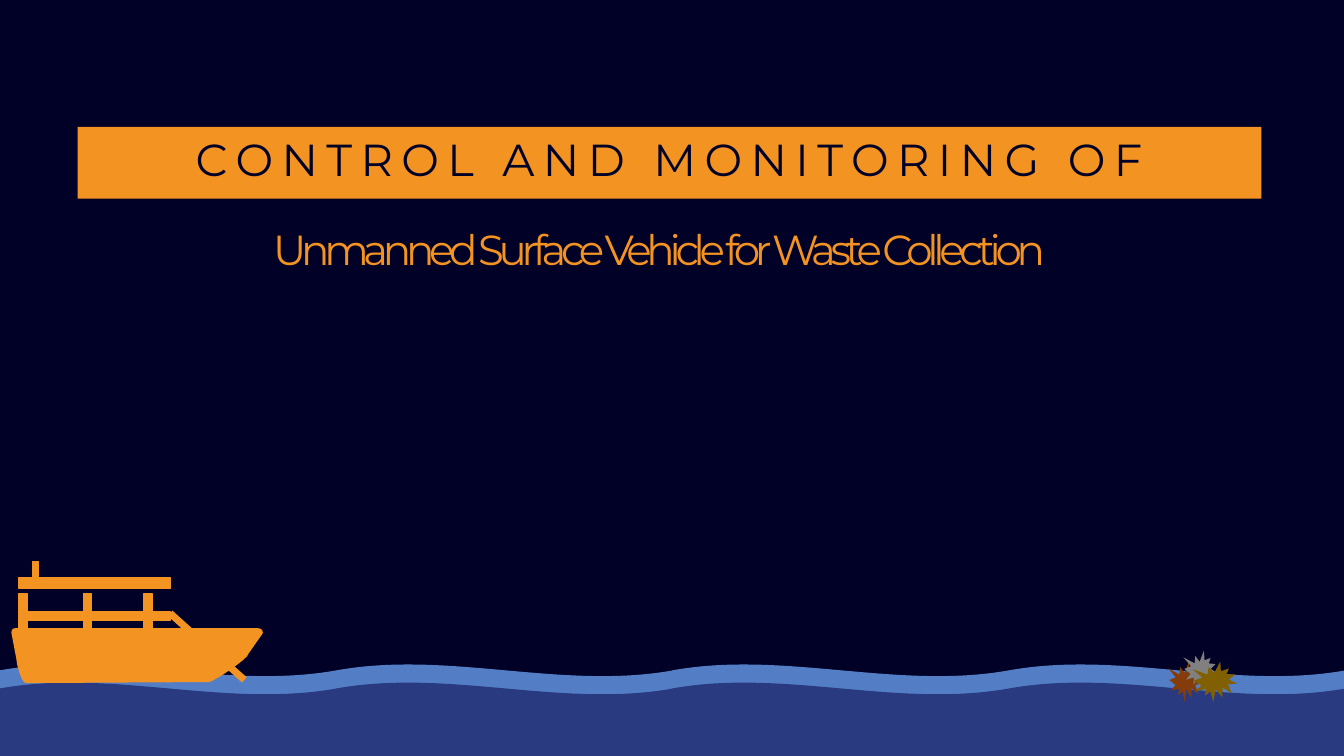
from pptx import Presentation
from pptx.dml.color import RGBColor
from pptx.enum.shapes import MSO_SHAPE as Preset
from pptx.enum.text import MSO_ANCHOR as Anchor, MSO_AUTO_SIZE as AutoSize, PP_ALIGN as Align
from pptx.util import Inches, Pt

COLORS = {
    "night": "010026", "orange": "F39422", "crest": "537EC5", "sea": "293A80",
    "rust": "843C0B", "grey": "808080", "olive": "806000",
}
SLIDE_WIDTH, SLIDE_HEIGHT = 13.33, 7.5
WAVE_PITCH, WAVE_WIDTH, WAVE_HEIGHT = 6.67, 6.68, 0.96
HULL_START = (0.12, 6.28)
HULL_STEPS = [
    [(0.12, 6.23), (0.15, 6.24), (0.19, 6.24)],
    [(2.51, 6.24)],
    [(2.55, 6.24), (2.6, 6.23), (2.6, 6.28)],
    [(2.46, 6.48)],
    [(2.46, 6.53), (2.11, 6.76), (2.07, 6.76)],
    [(0.26, 6.77)],
    [(0.22, 6.77), (0.17, 6.59), (0.17, 6.54)],
]


def color(name):
    """Return the named colour."""
    return RGBColor.from_string(COLORS[name])


def paint(shape, fill, outlined=False):
    """Fill a shape, with a thin outline of the same colour if wanted."""
    shape.shadow.inherit = False
    shape.fill.solid()
    shape.fill.fore_color.rgb = color(fill)
    if outlined:
        shape.line.color.rgb = color(fill)
        shape.line.width = Pt(1)
    else:
        shape.line.fill.background()


def add_block(shapes, preset, place, fill, rotation=0, outlined=False):
    """Add a preset shape at left, top, width, height."""
    block = shapes.add_shape(preset, *map(Inches, place))
    block.rotation = rotation
    paint(block, fill, outlined)


def set_heading(box, words, place, size, ink, spacing, align):
    """Place a heading placeholder and write letter-spaced text in it."""
    box.left, box.top, box.width, box.height = map(Inches, place)
    frame = box.text_frame
    frame.word_wrap = True
    frame.auto_size = AutoSize.NONE
    frame.vertical_anchor = Anchor.TOP
    para = frame.paragraphs[0]
    para.alignment = align
    para.space_before = Pt(0)
    span = para.add_run()
    span.text = words
    span._r.get_or_add_rPr().set("spc", str(spacing))
    para.font.name = "Montserrat"
    para.font.size = Pt(size)
    para.font.color.rgb = color(ink)


def curve_points(start, bend_out, bend_in, end, count=8):
    """Return points along a cubic curve."""
    points = []
    for step in range(1, count + 1):
        after = step / count
        before = 1 - after
        weights = (before**3, 3 * before**2 * after, 3 * before * after**2, after**3)
        corners = zip(start, bend_out, bend_in, end)
        points.append(tuple(sum(w * c for w, c in zip(weights, axis)) for axis in corners))
    return points


def add_hull(shapes):
    """Draw the rounded hull of the boat."""
    outline, corner = [], HULL_START
    for step in HULL_STEPS:
        outline += curve_points(corner, *step) if len(step) == 3 else step
        corner = step[-1]
    builder = shapes.build_freeform(*map(Inches, HULL_START))
    builder.add_line_segments([(Inches(x), Inches(y)) for x, y in outline], close=True)
    paint(builder.convert_to_shape(), "orange", outlined=True)


def add_boat(page):
    """Draw the boat as one group."""
    shapes = page.shapes.add_group_shape().shapes
    add_hull(shapes)
    posts = [(left, 5.89, 0.08, 0.34) for left in (0.19, 0.83, 1.43)]
    rail, roof, mast = (0.19, 6.07, 1.5, 0.08), (0.19, 5.73, 1.5, 0.11), (0.32, 5.57, 0.06, 0.15)
    for place in [*posts, rail, roof, mast]:
        add_block(shapes, Preset.RECTANGLE, place, "orange", outlined=True)
    add_block(shapes, Preset.RECTANGLE, (1.56, 6.38, 0.99, 0.07), "orange", rotation=41.9)


def add_waves(page, top, fill):
    """Draw a row of two waves across the slide."""
    shapes = page.shapes.add_group_shape().shapes
    for column in range(2):
        place = (column * WAVE_PITCH, top, WAVE_WIDTH, WAVE_HEIGHT)
        add_block(shapes, Preset.DOUBLE_WAVE, place, fill)


def add_waste(page):
    """Draw the pile of floating waste."""
    shapes = page.shapes.add_group_shape().shapes
    for left, top, width, fill in [
        (11.6, 6.57, 0.32, "rust"), (11.75, 6.46, 0.32, "grey"), (11.84, 6.57, 0.43, "olive"),
    ]:
        add_block(shapes, Preset.EXPLOSION1, (left, top, width, 0.39), fill, rotation=352.8)


def main():
    """Build and save the title slide."""
    deck = Presentation()
    deck.slide_width, deck.slide_height = Inches(SLIDE_WIDTH), Inches(SLIDE_HEIGHT)
    page = deck.slides.add_slide(deck.slide_layouts[0])
    page.background.fill.solid()
    page.background.fill.fore_color.rgb = color("night")

    title, subtitle = page.placeholders
    set_heading(title, "CONTROL AND MONITORING OF", (0.77, 1.26, 11.74, 0.71),
                32, "night", 600, Align.CENTER)
    title.fill.solid()
    title.fill.fore_color.rgb = color("orange")
    set_heading(subtitle, "Unmanned Surface Vehicle for Waste Collection", (2.61, 2.17, 8.1, 0.61),
                30, "orange", -380, Align.LEFT)

    add_waves(page, 6.59, "crest")
    add_waves(page, 6.77, "sea")
    add_waste(page)
    add_boat(page)
    deck.save("out.pptx")


if __name__ == "__main__":
    main()
